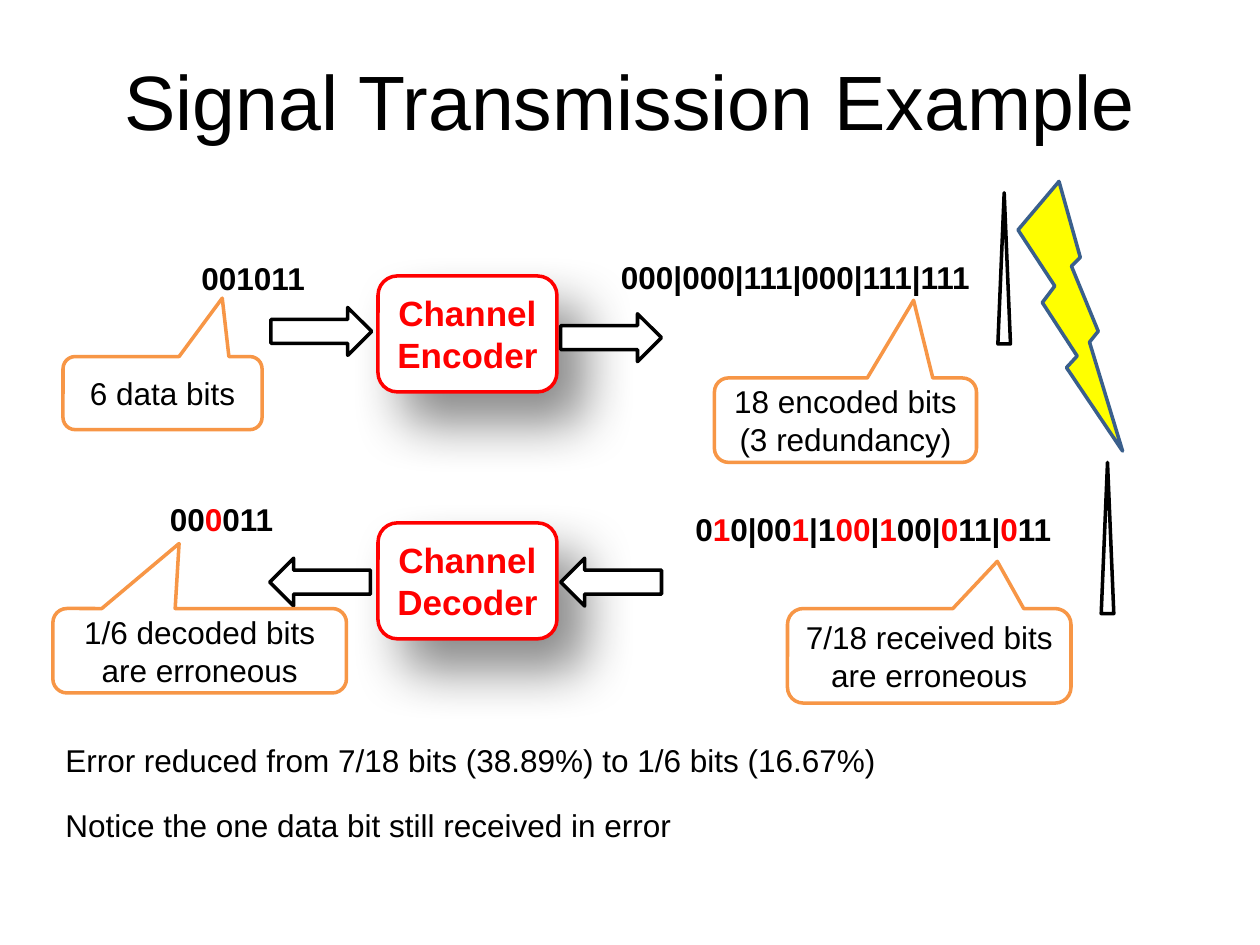
from lxml.etree import SubElement
from pptx import Presentation
from pptx.dml.color import RGBColor
from pptx.enum.shapes import MSO_SHAPE as Shape
from pptx.enum.text import MSO_ANCHOR as Anchor, PP_ALIGN as Align
from pptx.oxml.ns import qn
from pptx.util import Emu, Inches, Pt

BLACK = RGBColor(0, 0, 0)
WHITE = RGBColor(255, 255, 255)
RED = RGBColor(255, 0, 0)
YELLOW = RGBColor(255, 255, 0)
ORANGE = RGBColor(0xF7, 0x96, 0x46)
BLUE = RGBColor(0x3A, 0x5F, 0x8C)


def add_span(para, text, size=18, color=BLACK, bold=False):
    """Append one formatted run to a paragraph."""
    span = para.add_run()
    span.text = text
    span.font.name = "Arial"
    span.font.size = Pt(size)
    span.font.bold = bold
    span.font.color.rgb = color


def add_title(page, text):
    """Place and fill the title placeholder."""
    title = page.shapes.title
    title.left, title.top = Inches(0.5), Inches(0.17)
    title.width, title.height = Inches(9), Inches(1.25)
    title.text_frame.vertical_anchor = Anchor.MIDDLE
    para = title.text_frame.paragraphs[0]
    para.alignment = Align.CENTER
    add_span(para, text, size=44)


def add_label(page, left, top, width, text, bold=False):
    """Add a text line in which parts between asterisks are red."""
    box = page.shapes.add_textbox(Inches(left), Inches(top), Inches(width), Inches(0.4))
    box.text_frame.word_wrap = True
    para = box.text_frame.paragraphs[0]
    for index, part in enumerate(text.split("*")):
        add_span(para, part, color=RED if index % 2 else BLACK, bold=bold)


def add_outline(page, kind, left, top, width, height, line=BLACK, fill=WHITE):
    """Add a filled preset shape with a two-point outline."""
    shape = page.shapes.add_shape(
        kind, Inches(left), Inches(top), Inches(width), Inches(height))
    shape.shadow.inherit = False
    shape.fill.solid()
    shape.fill.fore_color.rgb = fill
    shape.line.color.rgb = line
    shape.line.width = Pt(2)
    return shape


def write_centred(shape, text, **style):
    """Write centred paragraphs, one for each line of text."""
    frame = shape.text_frame
    frame.word_wrap = True
    frame.vertical_anchor = Anchor.MIDDLE
    for index, line in enumerate(text.split("\n")):
        para = frame.add_paragraph() if index else frame.paragraphs[0]
        para.alignment = Align.CENTER
        add_span(para, line, **style)


def add_soft_shadow(shape):
    """Give a shape a blurred shadow to its lower right."""
    effects = shape._element.spPr.find(qn("a:effectLst"))
    shadow = SubElement(effects, qn("a:outerShdw"), blurRad=str(Pt(30)),
                        dist=str(Pt(23)), dir="3000000", algn="tl", rotWithShape="0")
    color = SubElement(shadow, qn("a:srgbClr"), val=str(BLACK))
    SubElement(color, qn("a:alpha"), val="45000")


def add_coder(page, top, text):
    """Add a red channel stage with a soft shadow."""
    stage = add_outline(page, Shape.ROUNDED_RECTANGLE, 3, top, 1.42, 0.92, RED)
    add_soft_shadow(stage)
    write_centred(stage, text, size=20, color=RED, bold=True)


def add_arrow(page, left, top, rotation=0):
    """Add a block arrow."""
    arrow = add_outline(page, Shape.RIGHT_ARROW, left, top, 0.8, 0.38)
    arrow.rotation = rotation


def add_callout(page, left, top, width, height, tip, text):
    """Add an orange callout whose tip is relative to its centre."""
    callout = add_outline(
        page, Shape.ROUNDED_RECTANGULAR_CALLOUT, left, top, width, height, ORANGE)
    callout.adjustments[0], callout.adjustments[1] = tip
    write_centred(callout, text)


def main():
    """Build the signal transmission slide."""
    deck = Presentation()
    deck.slide_width, deck.slide_height = Inches(10), Inches(7.5)
    page = deck.slides.add_slide(deck.slide_layouts[5])
    add_title(page, "Signal Transmission Example")

    for left, top, width, bits in (
            (1.5, 2.01, 1.08, "001011"),
            (4.83, 2, 3, "000|000|111|000|111|111"),
            (5.42, 4, 3.08, "0*1*0|00*1*|1*00*|*1*00|*0*11|*0*11"),
            (1.25, 3.92, 1.08, "00*0*011")):
        add_label(page, left, top, width, bits, bold=True)

    for left, top in ((7.92, 1.53), (8.74, 3.67)):
        add_outline(page, Shape.FLOWCHART_EXTRACT, left, top, 0.1, 1.2)
    add_outline(page, Shape.LIGHTNING_BOLT, 8.08, 1.44, 0.83, 2.14, BLUE, YELLOW)

    add_coder(page, 2.19, "Channel Encoder")
    add_coder(page, 4.15, "Channel Decoder")
    add_arrow(page, 2.15, 2.44)
    add_arrow(page, 4.45, 2.49)
    for left in (2.14, 4.45):
        add_arrow(page, left, 4.43, rotation=180)

    add_callout(page, 0.5, 2.83, 1.58, 0.58, (0.3, -1.3), "6 data bits")
    add_callout(page, 5.67, 3, 2.08, 0.67, (0.26, -1.42),
                "18 encoded bits\n(3 redundancy)")
    add_callout(page, 6.25, 4.83, 2.25, 0.75, (0.24, -1),
                "7/18 received bits are erroneous")
    add_callout(page, 0.42, 4.83, 2.33, 0.67, (-0.07, -1.27),
                "1/6 decoded bits are erroneous")

    add_label(page, 0.42, 5.83, 8.75,
              "Error reduced from 7/18 bits (38.89%) to 1/6 bits (16.67%)")
    add_label(page, 0.42, 6.35, 8.75, "Notice the one data bit still received in error")
    deck.save("out.pptx")


if __name__ == "__main__":
    main()
